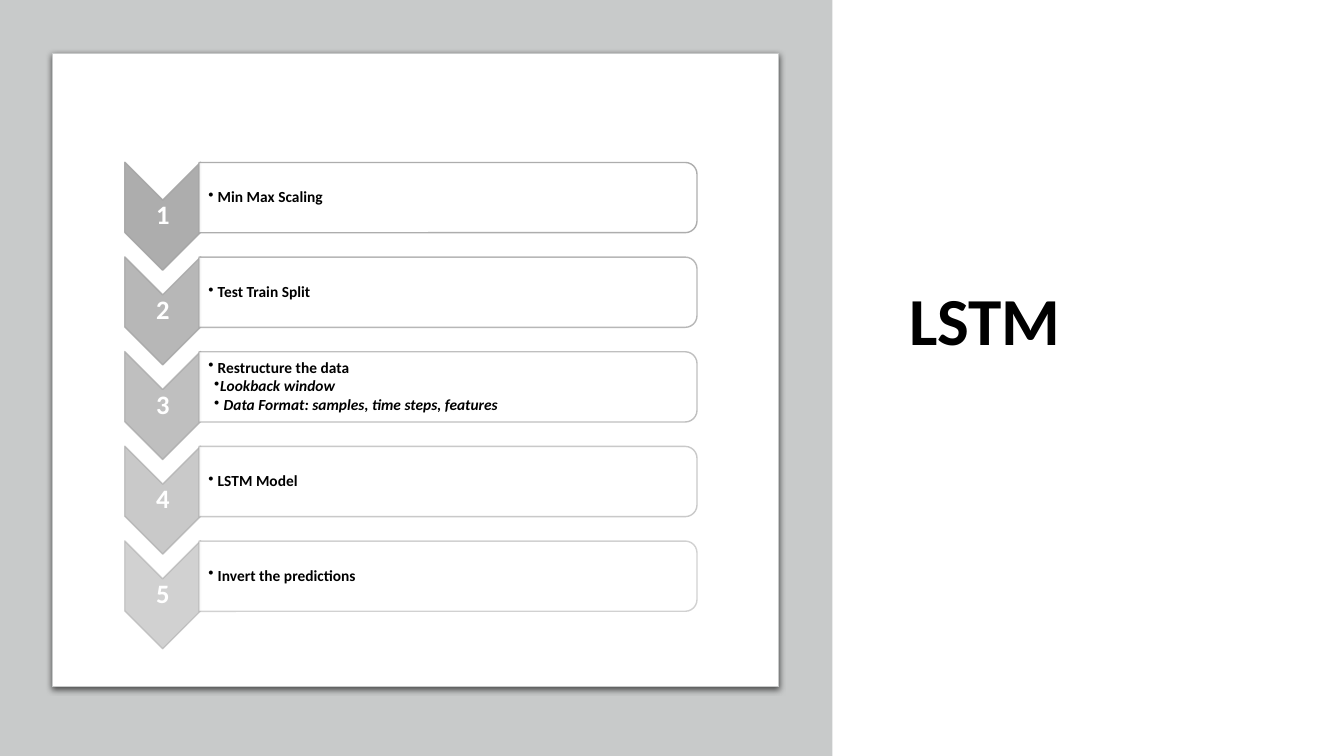
from lxml import etree
from pptx import Presentation
from pptx import util as u
from pptx.dml.color import RGBColor
from pptx.enum import shapes, text
from pptx.oxml.ns import qn

# Content: each step is a list of (level, line)
TITLE = "LSTM"
STEPS = [
    [(1, " Min Max Scaling")],
    [(1, " Test Train Split")],
    [(1, " Restructure the data"),
     (2, "Lookback window"),
     (2, " Data Format: samples, time steps, features")],
    [(1, " LSTM Model")],
    [(1, " Invert the predictions")],
]
COLORS = {"panel": "C8CACA", "white": "FFFFFF", "step": "A5A5A5", "ink": "000000"}
FONT = "Calibri"

# Layout in centimetres
STEP_PITCH = 2.385
CHEVRON_X, CHEVRON_Y = 4.1, 5.45
BAR_X, BAR_Y = 11.29, 4.98
BULLET_INDENT = 0.15

prs = Presentation()
prs.slide_width, prs.slide_height = u.Cm(33.87), u.Cm(19.05)
slide = prs.slides.add_slide(prs.slide_layouts[5])


def rgb(name):
    return RGBColor.from_string(COLORS[name])


def add_block(kind, left, top, width, height, fill, line=None, points=1):
    block = slide.shapes.add_shape(
        kind, u.Cm(left), u.Cm(top), u.Cm(width), u.Cm(height))
    block.shadow.inherit = False
    block.fill.solid()
    block.fill.fore_color.rgb = rgb(fill)
    if line:
        block.line.color.rgb = rgb(line)
        block.line.width = u.Pt(points)
    else:
        block.line.fill.background()
    return block


def add_turned(kind, center_x, center_y, width, height, fill, fill_alpha, line_alpha):
    block = add_block(kind, center_x - width / 2, center_y - height / 2,
                      width, height, fill, "step")
    block.rotation = 90
    # The fill colour comes before the line colour
    colors = list(block._element.spPr.iter(qn("a:srgbClr")))
    for color, percent in zip(colors, (fill_alpha, line_alpha)):
        etree.SubElement(color, qn("a:alpha"), val=str(percent * 1000))


def add_frame(left, center_y, width, height, left_inset=0.03):
    frame = slide.shapes.add_textbox(
        u.Cm(left), u.Cm(center_y - height / 2), u.Cm(width), u.Cm(height)).text_frame
    frame.word_wrap = True
    frame.vertical_anchor = text.MSO_ANCHOR.MIDDLE
    frame.margin_left = u.Cm(left_inset)
    frame.margin_top = frame.margin_right = frame.margin_bottom = u.Cm(0.03)
    return frame


def write(paragraph, words, size, color, italic=None):
    paragraph.line_spacing = 0.9
    run = paragraph.add_run()
    run.text = words
    run.font.name, run.font.size = FONT, u.Pt(size)
    run.font.bold, run.font.italic = True, italic
    run.font.color.rgb = rgb(color)


def add_bullet(paragraph, level):
    paragraph.level = level
    paragraph.space_after = u.Pt(1.6)
    props = paragraph._p.get_or_add_pPr()
    props.set("marL", str(u.Cm(BULLET_INDENT * level)))
    props.set("indent", str(-u.Cm(BULLET_INDENT)))
    etree.SubElement(props, qn("a:buChar"), char="•")


# Title, raised above the middle by its bottom inset
title = slide.shapes.title
title.left, title.top, title.width, title.height = map(u.Cm, (22.66, 1.78, 9.45, 14.6))
title.text_frame.word_wrap = True
title.text_frame.vertical_anchor = text.MSO_ANCHOR.MIDDLE
title.text_frame.margin_bottom = u.Cm(1.95)
heading = title.text_frame.paragraphs[0]
heading.alignment = text.PP_ALIGN.LEFT
write(heading, TITLE, 48, "ink")

# Grey panel and white card with a soft shadow
add_block(shapes.MSO_SHAPE.RECTANGLE, 0, 0, 20.98, 19.05, "panel")
card = add_block(shapes.MSO_SHAPE.ROUNDED_RECTANGLE, 1.32, 1.35, 18.31, 15.95,
                 "white", "panel", 0.75)
card.adjustments[0] = 0
effects = card._element.spPr.find(qn("a:effectLst"))
shadow = etree.SubElement(effects, qn("a:outerShdw"), blurRad=str(u.Pt(4.5)),
                          dist=str(u.Pt(1.5)), dir="5400000", rotWithShape="0")
shadow_color = etree.SubElement(shadow, qn("a:srgbClr"), val=COLORS["ink"])
etree.SubElement(shadow_color, qn("a:alpha"), val="63000")

# Steps: fading chevron, its number, outlined bar and its bullets
for index, lines in enumerate(STEPS):
    offset = index * STEP_PITCH
    opacity = 90 - 10 * index
    add_turned(shapes.MSO_SHAPE.CHEVRON, CHEVRON_X, CHEVRON_Y + offset,
               2.72, 1.91, "step", opacity, opacity)
    number = add_frame(3.15, CHEVRON_Y + offset, 1.91, 0.81).paragraphs[0]
    number.alignment = text.PP_ALIGN.CENTER
    write(number, str(index + 1), 19, "white")

    add_turned(shapes.MSO_SHAPE.ROUND_2_SAME_RECTANGLE, BAR_X, BAR_Y + offset,
               1.77, 12.55, "white", 90, opacity)
    bullets = add_frame(5.03, BAR_Y + offset, 12.45, 1.6, 0.22)
    for position, (level, line) in enumerate(lines):
        bullet = bullets.add_paragraph() if position else bullets.paragraphs[0]
        write(bullet, line, 11, "ink", italic=True if level == 2 else None)
        add_bullet(bullet, level)

prs.save("out.pptx")
